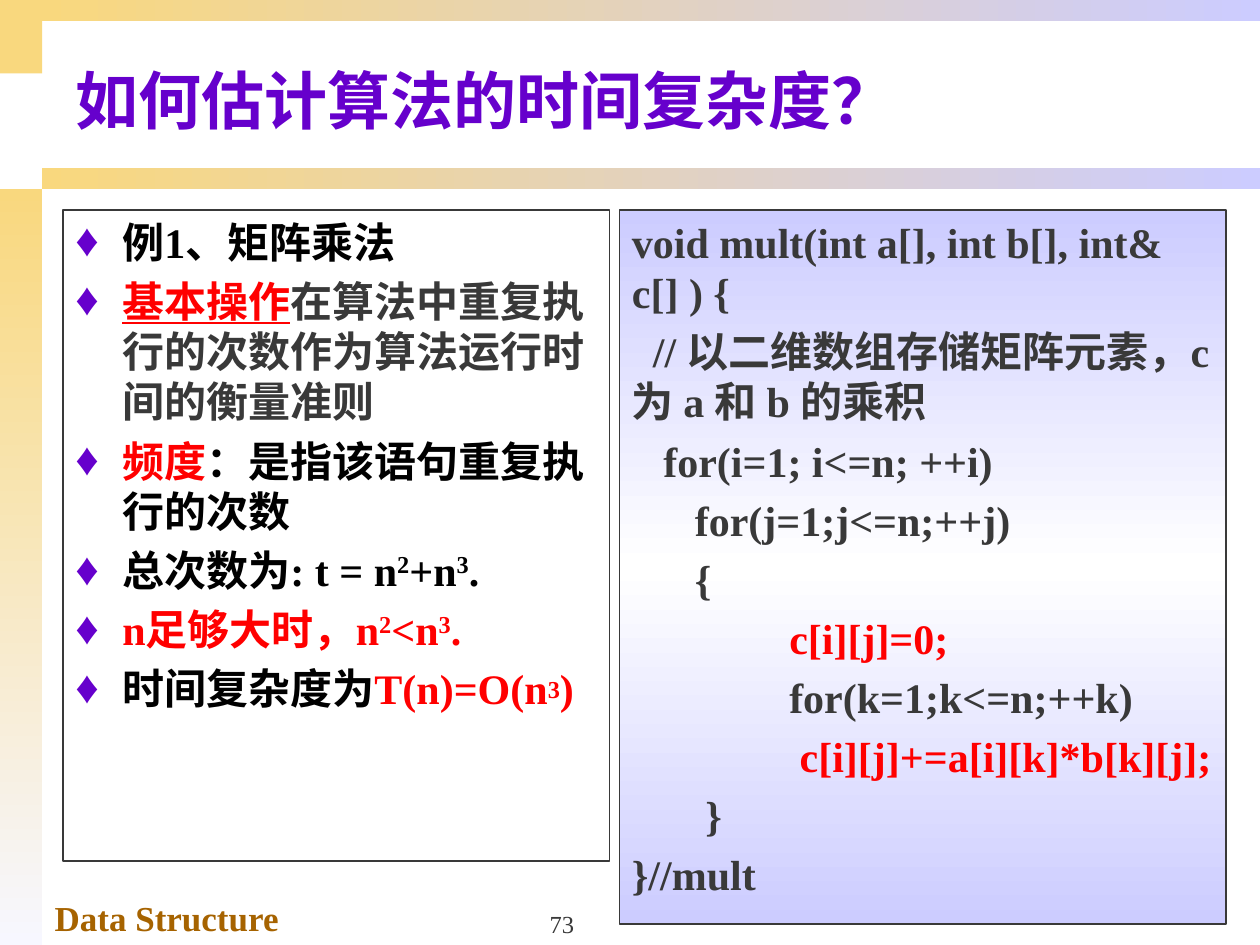
from copy import deepcopy

from lxml import etree
from pptx import Presentation
from pptx.dml.color import RGBColor
from pptx.enum.shapes import MSO_SHAPE
from pptx.enum.text import MSO_ANCHOR, PP_ALIGN
from pptx.oxml.ns import qn
from pptx.util import Cm, Pt

RECT = MSO_SHAPE.RECTANGLE
TOP, MIDDLE, BOTTOM = MSO_ANCHOR.TOP, MSO_ANCHOR.MIDDLE, MSO_ANCHOR.BOTTOM
LEFT, CENTER = PP_ALIGN.LEFT, PP_ALIGN.CENTER

GOLD = RGBColor(0xF9, 0xD8, 0x7E)
PALE = RGBColor(0xF7, 0xF7, 0xFF)
LAVENDER = RGBColor(0xCC, 0xCC, 0xFF)
WHITE = RGBColor(0xFF, 0xFF, 0xFF)
BLACK = RGBColor(0, 0, 0)
GRAY = RGBColor(0x39, 0x39, 0x39)
RED = RGBColor(0xFF, 0, 0)
PURPLE = RGBColor(0x66, 0, 0xCC)
BROWN = RGBColor(0xA6, 0x63, 0)

DOWN, ACROSS = 270, 0
SUP = {"baseline": 30}
LOW_SUP = {"baseline": 16}


class Deck:
    latin = "Times New Roman"
    asian = "Noto Sans CJK SC"

    def __init__(self, width, height):
        self.prs = Presentation()
        self.prs.slide_width, self.prs.slide_height = Cm(width), Cm(height)
        self.s = self.prs.slides.add_slide(self.prs.slide_layouts[6])

    def rect(self, box, colors=(), angle=ACROSS, line=None):
        sp = self.s.shapes.add_shape(RECT, *map(Cm, box))
        sp.shadow.inherit = False
        if not colors:
            sp.fill.background()
        elif len(colors) == 1:
            sp.fill.solid()
            sp.fill.fore_color.rgb = colors[0]
        else:
            self.gradient(sp, colors, angle)
        if line is None:
            sp.line.fill.background()
        else:
            sp.line.color.rgb = line
            sp.line.width = Pt(1)
        return sp

    def gradient(self, sp, colors, angle):
        sp.fill.gradient()
        sp.fill.gradient_angle = angle
        stops = sp._element.spPr.find(qn("a:gradFill")).find(qn("a:gsLst"))
        for _ in colors[2:]:
            stops.append(deepcopy(stops[0]))
        for i, (stop, color) in enumerate(zip(sp.fill.gradient_stops, colors)):
            stop.color.rgb = color
            stop.position = i / (len(colors) - 1)

    def textbox(self, box, paragraphs, **style):
        sp = self.s.shapes.add_textbox(*map(Cm, box))
        self.text(sp, paragraphs, **style)

    def text(self, sp, paragraphs, size, color, bold=True, anchor=TOP, align=LEFT, bullet=None):
        tf = sp.text_frame
        tf.word_wrap = True
        tf.vertical_anchor = anchor
        for i, runs in enumerate(paragraphs):
            p = tf.paragraphs[0] if i == 0 else tf.add_paragraph()
            p.alignment = align
            p.space_before = Pt(5 if i else 0)
            if bullet:
                self.bullet(p, bullet)
            for text, changes in runs:
                style = {"name": self.latin, "size": Pt(size), "bold": bold, "color": color}
                self.run(p, text, {**style, **changes})

    def run(self, p, text, style):
        r = p.add_run()
        r.text = text
        for key, value in style.items():
            if key == "color":
                r.font.color.rgb = value
            elif key == "baseline":
                r._r.get_or_add_rPr().set("baseline", str(value * 1000))
            else:
                setattr(r.font, key, value)
        latin = r._r.get_or_add_rPr().find(qn("a:latin"))
        ea = etree.Element(qn("a:ea"), typeface=self.asian)
        latin.addnext(ea)

    def bullet(self, p, color):
        pPr = p._p.get_or_add_pPr()
        pPr.set("marL", str(Cm(0.95)))
        pPr.set("indent", str(-Cm(0.95)))
        buClr = etree.SubElement(pPr, qn("a:buClr"))
        etree.SubElement(buClr, qn("a:srgbClr"), val=str(color))
        etree.SubElement(pPr, qn("a:buSzPct"), val="110000")
        etree.SubElement(pPr, qn("a:buFont"), typeface=self.latin)
        etree.SubElement(pPr, qn("a:buChar"), char="♦")


def main():
    deck = Deck(25.4, 19.05)
    side, band = 0.85, 0.42

    deck.rect((0, 0, side, 1.48), [GOLD])
    deck.rect((0, 3.81, side, 15.24), [GOLD, PALE], DOWN)
    for top in (3.39, 0):
        deck.rect((side, top, 25.4 - side, band), [GOLD, LAVENDER])

    deck.textbox((side, 17.95, 8.89, 1.1), [[("Data Structure", {})]], size=20, color=BROWN)
    deck.textbox((1.27, 0.64, 24.13, 2.72), [[("如何估计算法的时间复杂度？", {})]],
                 size=36, color=PURPLE, anchor=MIDDLE)

    red = {"color": RED}
    red_sup = {**red, **SUP}
    notes = [
        [("例1、矩阵乘法", {})],
        [("基本操作", {**red, "underline": True}),
         ("在算法中重复执行的次数作为算法运行时间的衡量准则", {"color": GRAY})],
        [("频度", red), ("：是指该语句重复执行的次数", {})],
        [("总次数为: t = n", {}), ("2", SUP), ("+n", {}), ("3", SUP), (".", {})],
        [("n足够大时，n", red), ("2", red_sup), ("<n", red), ("3", red_sup), (".", red)],
        [("时间复杂度为", {}), ("T(n)=O(n", red), ("3", {**red, **LOW_SUP}), (")", red)],
    ]
    panel = deck.rect((1.27, 4.23, 11.02, 13.13), line=GRAY)
    deck.text(panel, notes, size=24, color=BLACK, bullet=PURPLE)

    code = [
        ("void mult(int a[], int b[], int& c[] ) {", {}),
        ("  // 以二维数组存储矩阵元素，c 为 a 和 b 的乘积", {}),
        ("   for(i=1; i<=n; ++i)", {}),
        ("      for(j=1;j<=n;++j)", {}),
        ("      {", {}),
        ("               c[i][j]=0;", red),
        ("               for(k=1;k<=n;++k)", {}),
        ("                c[i][j]+=a[i][k]*b[k][j];", red),
        ("       }", {}),
        ("}//mult", {}),
    ]
    panel = deck.rect((12.49, 4.23, 12.22, 14.4), [LAVENDER, WHITE, LAVENDER], DOWN, GRAY)
    deck.text(panel, [[line] for line in code], size=24, color=GRAY)

    deck.textbox((8.69, 17.78, 5.28, 1.27), [[("73", {})]],
                 size=14, color=GRAY, bold=False, anchor=BOTTOM, align=CENTER)

    deck.prs.save("out.pptx")


if __name__ == "__main__":
    main()
